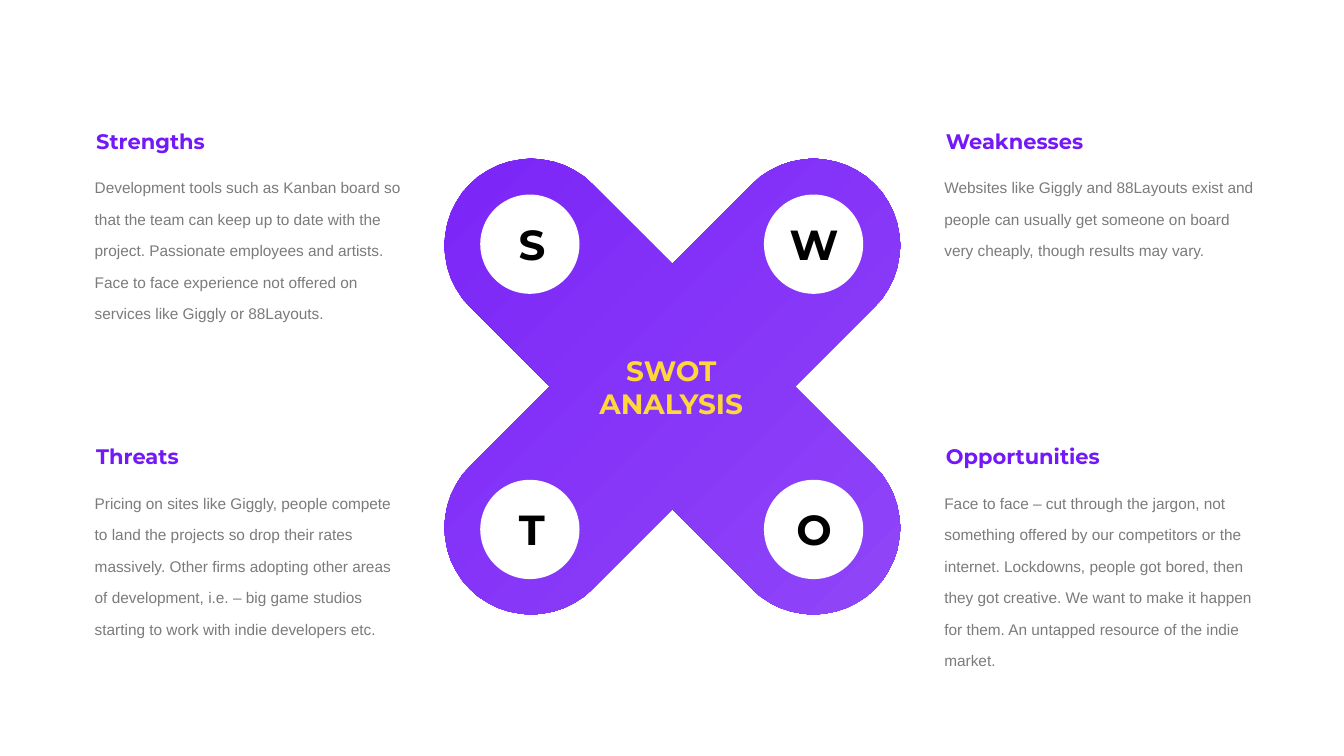
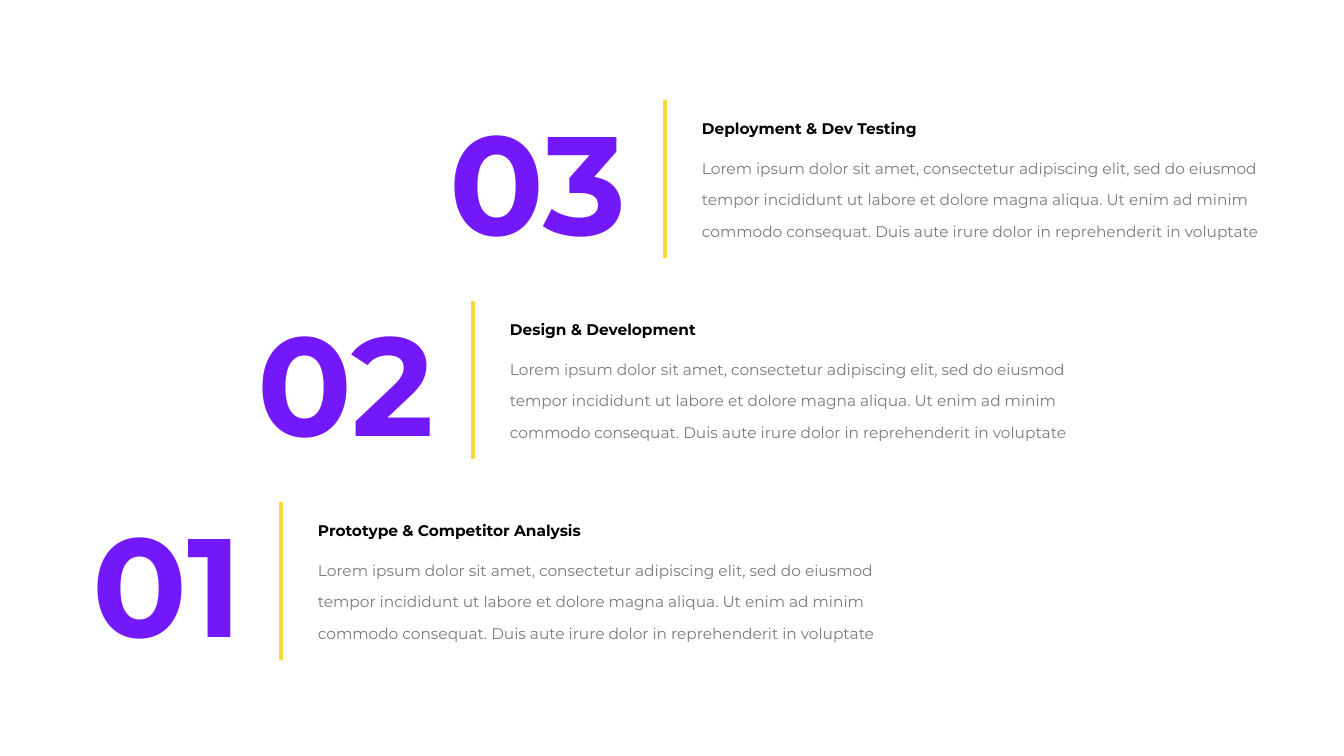
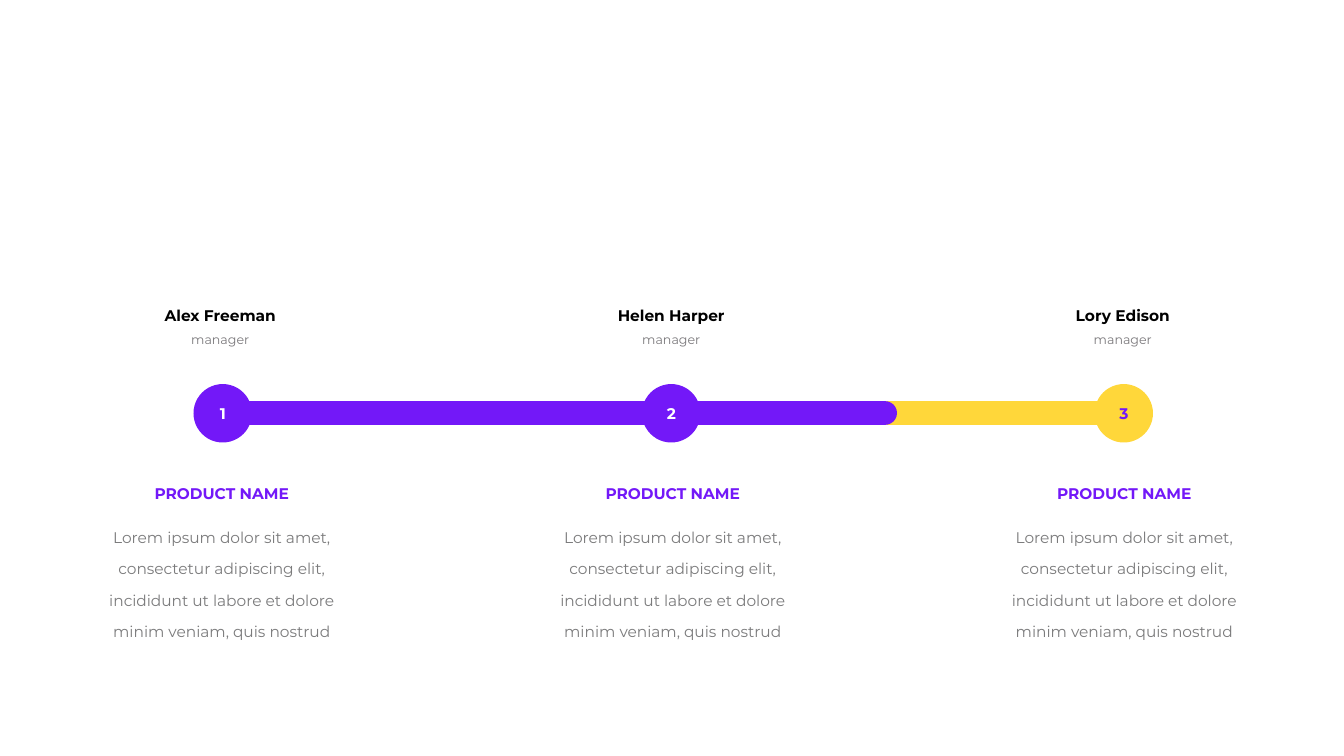
from math import cos, pi, sin

from lxml.etree import SubElement
from pptx import Presentation
from pptx.dml.color import RGBColor
from pptx.enum.shapes import MSO_CONNECTOR, MSO_SHAPE
from pptx.enum.text import MSO_AUTO_SIZE, PP_ALIGN
from pptx.oxml.ns import qn
from pptx.util import Emu, Pt

PX = 9144
PURPLE = RGBColor(0x73, 0x18, 0xF8)
LILAC = RGBColor(0x98, 0x52, 0xF8)
YELLOW = RGBColor(0xFF, 0xD7, 0x3A)
GREY = RGBColor(0x7B, 0x7B, 0x7C)
ROLE_GREY = RGBColor(0x7B, 0x79, 0x7C)
BLACK = RGBColor(0, 0, 0)
WHITE = RGBColor(0xFF, 0xFF, 0xFF)
FONT = "Montserrat"
BODY = {"size": 22, "color": GREY, "bold": False, "spacing": 45}
CENTER = PP_ALIGN.CENTER

SWOT = [
    ("S", "Strengths", 0, 0, 317,
     "Development tools such as Kanban board so that the team can keep up to date with the "
     "project. Passionate employees and artists. Face to face experience not offered on "
     "services like Giggly or 88Layouts."),
    ("W", "Weaknesses", 1, 0, 192,
     "Websites like Giggly and 88Layouts exist and people can usually get someone on board "
     "very cheaply, though results may vary."),
    ("T", "Threats", 0, 1, 317,
     "Pricing on sites like Giggly, people compete to land the projects so drop their rates "
     "massively. Other firms adopting other areas of development, i.e. – big game studios "
     "starting to work with indie developers etc."),
    ("O", "Opportunities", 1, 1, 317,
     "Face to face – cut through the jargon, not something offered by our competitors or the "
     "internet. Lockdowns, people got bored, then they got creative. We want to make it happen "
     "for them. An untapped resource of the indie market."),
]
STAGES = [
    ("01", "Prototype & Competitor Analysis", 350),
    ("02", "Design & Development", 392),
    ("03", "Deployment & Dev Testing", 392),
]
STAGE_TEXT = (
    "Lorem ipsum dolor sit amet, consectetur adipiscing elit, sed do eiusmod tempor incididunt "
    "ut labore et dolore magna aliqua. Ut enim ad minim commodo consequat. Duis aute irure "
    "dolor in reprehenderit in voluptate"
)
MILESTONES = [
    ("1", "Alex Freeman", 200, 384, PURPLE, WHITE),
    ("2", "Helen Harper", 1095, 1274, PURPLE, WHITE),
    ("3", "Lory Edison", 1991, 2172, YELLOW, PURPLE),
]
PRODUCT_TEXT = (
    "Lorem ipsum dolor sit amet, consectetur adipiscing elit, incididunt ut labore et dolore "
    "minim veniam, quis nostrud"
)


def px(*lengths):
    """Turn px lengths into EMU."""
    return [Emu(length * PX) for length in lengths]


def add_text(slide, text, box, size=22, color=BLACK, bold=True, font=FONT,
             align=PP_ALIGN.LEFT, spacing=None, inset=5):
    """Write text in a box, one paragraph a line."""
    frame = slide.shapes.add_textbox(*px(*box)).text_frame
    frame.word_wrap = True
    frame.auto_size = MSO_AUTO_SIZE.SHAPE_TO_FIT_TEXT
    frame.margin_left = frame.margin_top = frame.margin_right = frame.margin_bottom = inset * PX
    frame.text = text
    for paragraph in frame.paragraphs:
        paragraph.alignment = align
        if spacing:
            paragraph.line_spacing = Pt(spacing)
        for run in paragraph.runs:
            run.font.name = font
            run.font.size = Pt(size)
            run.font.bold = bold
            run.font.color.rgb = color


def add_solid(slide, preset, box, color):
    """Draw a plain filled preset shape."""
    solid = slide.shapes.add_shape(preset, *px(*box))
    solid.shadow.inherit = False
    solid.fill.solid()
    solid.fill.fore_color.rgb = color
    solid.line.fill.background()
    return solid


def add_rule(slide, x, top, height):
    """Draw a yellow upright rule from its foot to its head."""
    rule = slide.shapes.add_connector(MSO_CONNECTOR.STRAIGHT, *px(x, top + height, x, top))
    rule.line.color.rgb = YELLOW
    rule.line.width = Pt(6)
    SubElement(rule._element.spPr, qn("a:effectLst"))


def add_cross(slide, center_x, center_y, reach, radius, steps=24):
    """Draw a round-ended cross with a diagonal gradient."""
    outline = []
    for arm in range(4):
        turn = arm * pi / 2
        cap_x = center_x + (reach - radius) * cos(turn)
        cap_y = center_y + (reach - radius) * sin(turn)
        for step in range(steps + 1):
            angle = turn - pi / 2 + pi * step / steps
            outline.append((cap_x + radius * cos(angle), cap_y + radius * sin(angle)))
        notch = turn + pi / 4
        outline.append((center_x + radius * 2 ** 0.5 * cos(notch),
                        center_y + radius * 2 ** 0.5 * sin(notch)))
    builder = slide.shapes.build_freeform(*outline[0], scale=PX)
    builder.add_line_segments(outline[1:], close=True)
    cross = builder.convert_to_shape()
    cross.rotation = 135
    cross.shadow.inherit = False
    cross.line.fill.background()
    cross.fill.gradient()
    cross.fill.gradient_angle = 90
    for stop, color in zip(cross.fill.gradient_stops, (PURPLE, LILAC)):
        stop.color.rgb = color


def build_swot(slide):
    """Lay out the cross with its four letters and texts."""
    add_cross(slide, 1334, 767, 568, 172)
    for letter, heading, column, row, height, body in SWOT:
        add_solid(slide, MSO_SHAPE.OVAL, (953 + 563 * column, 386 + 566 * row, 197, 197), WHITE)
        add_text(slide, letter, (978 + 560 * column, 428 + 567 * row, 155, 111),
                 size=60, align=CENTER)
        left, top = 183 + 1686 * column, 250 + 626 * row
        add_text(slide, heading, (left + 3, top, 480, 61), size=30, color=PURPLE)
        add_text(slide, body, (left, top + 73, 627, height), font="Arial", **BODY)
    add_text(slide, "SWOT\nANALYSIS", (1160, 697, 344, 143), size=40, color=YELLOW,
             align=CENTER, inset=4)


def build_stages(slide):
    """Lay out the numbered stages as rising stairs."""
    for index, (number, heading, width) in enumerate(STAGES):
        x, top = 558 + 381 * index, 997 - 399 * index
        add_text(slide, number, (x - 72 - width, top - 14, width, 347), size=200,
                 color=PURPLE, align=PP_ALIGN.RIGHT)
        add_rule(slide, x, top, 313)
        add_text(slide, STAGE_TEXT, (x + 68, top + 85, 1137, 191), **BODY)
        add_text(slide, heading, (x + 68, top + 33, 627, 47))


def build_timeline(slide):
    """Lay out the progress bar with its milestones."""
    for length, color in ((1815, YELLOW), (1358, PURPLE)):
        bar = add_solid(slide, MSO_SHAPE.ROUNDED_RECTANGLE, (422, 796, length, 47), color)
        bar.adjustments[0] = 0.5
    for number, person, left, dot_left, dot_color, number_color in MILESTONES:
        add_solid(slide, MSO_SHAPE.OVAL, (dot_left, 762, 116, 116), dot_color)
        add_text(slide, number, (dot_left + 37, 796, 43, 47), color=number_color, align=CENTER)
        add_text(slide, person, (left + 110, 603, 254, 47), align=CENTER)
        add_text(slide, "manager", (left + 160, 654, 154, 40), size=18, color=ROLE_GREY,
                 bold=False, align=CENTER)
        add_text(slide, "PRODUCT NAME", (left, 955, 480, 47), color=PURPLE, align=CENTER)
        add_text(slide, PRODUCT_TEXT, (left, 1017, 480, 254), align=CENTER, **BODY)


def main():
    """Build and save the deck."""
    deck = Presentation()
    deck.slide_width, deck.slide_height = px(2667, 1500)
    for build in (build_swot, build_stages, build_timeline):
        build(deck.slides.add_slide(deck.slide_layouts[6]))
    deck.save("out.pptx")


if __name__ == "__main__":
    main()
